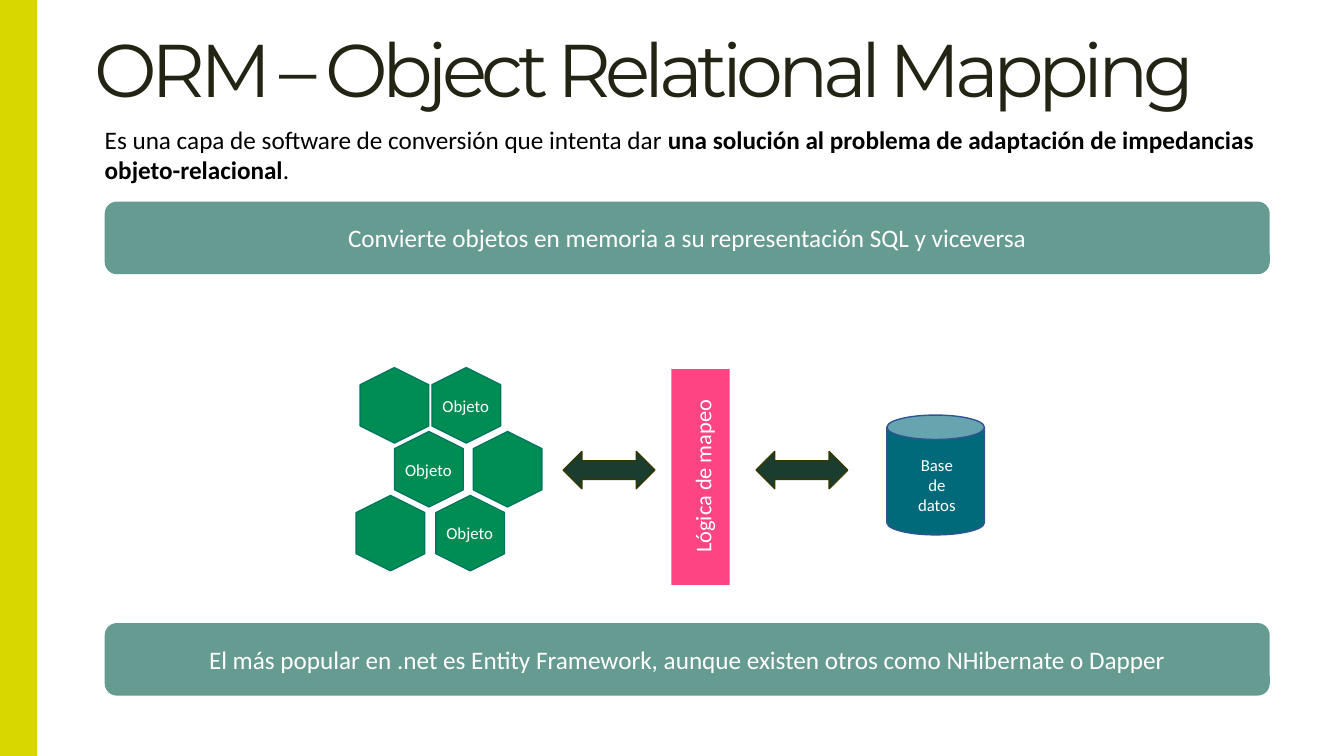
from pptx import Presentation
from pptx import util as u
from pptx.dml.color import RGBColor
from pptx.enum import shapes, text

WHITE = RGBColor(0xFF, 0xFF, 0xFF)
BLACK = RGBColor(0, 0, 0)
INK = RGBColor(0x24, 0x24, 0x15)
LIME = RGBColor(0xD8, 0xD8, 0x00)
SAGE = RGBColor(0x65, 0x9B, 0x91)
PINK = RGBColor(0xFF, 0x44, 0x84)
PETROL = RGBColor(0x00, 0x6A, 0x7B)
NAVY = RGBColor(0x32, 0x54, 0x91)
GREEN = RGBColor(0x00, 0x8D, 0x54)
TEAL = RGBColor(0x00, 0x76, 0x61)
FOREST = RGBColor(0x1B, 0x3D, 0x2F)
OLIVE = RGBColor(0x34, 0x38, 0x00)

SHAPE = shapes.MSO_SHAPE
LEFT, CENTER = text.PP_ALIGN.LEFT, text.PP_ALIGN.CENTER
TOP, MIDDLE, BOTTOM = (text.MSO_ANCHOR.TOP, text.MSO_ANCHOR.MIDDLE,
                       text.MSO_ANCHOR.BOTTOM)


def write(frame, *runs, size=18, color=WHITE, font="Calibri", align=CENTER,
          anchor=TOP, bold=(), spacing=None):
    """Write one paragraph; bold lists the indexes of the bold runs."""
    frame.word_wrap = True
    frame.vertical_anchor = anchor
    paragraph = frame.paragraphs[0]
    paragraph.alignment = align
    for index, words in enumerate(runs):
        run = paragraph.add_run()
        run.text = words
        run.font.name = font
        run.font.size = u.Pt(size)
        run.font.bold = index in bold
        run.font.color.rgb = color
        if spacing is not None:
            run.font._element.set("spc", str(spacing * 100))
    return paragraph


class OrmSlide:
    """Current slide and its drawing style; boxes are in centimetres."""

    def __init__(self, deck):
        self.slide = deck.slides.add_slide(deck.slide_layouts[5])

    def title(self, words, box):
        heading = self.slide.shapes.title
        heading.left, heading.top, heading.width, heading.height = map(u.Cm, box)
        frame = heading.text_frame
        frame.auto_size = text.MSO_AUTO_SIZE.NONE
        frame.margin_left = 0
        paragraph = write(frame, words, size=53.3, color=INK, font="Montserrat",
                          align=LEFT, anchor=BOTTOM, spacing=-4)
        paragraph.line_spacing = 0.9

    def figure(self, kind, box, fill, outline=None, rotation=0):
        figure = self.slide.shapes.add_shape(kind, *map(u.Cm, box))
        figure.shadow.inherit = False
        figure.rotation = rotation
        figure.fill.solid()
        figure.fill.fore_color.rgb = fill
        if outline is None:
            figure.line.fill.background()
        else:
            figure.line.color.rgb = outline
            figure.line.width = u.Pt(1)
        return figure

    def band(self, words, top):
        band = self.figure(SHAPE.ROUNDED_RECTANGLE, (2.64, top, 29.36, 1.83), SAGE)
        write(band.text_frame, words, anchor=MIDDLE)

    def label(self, *runs, box, rotation=0, **style):
        label = self.slide.shapes.add_textbox(*map(u.Cm, box))
        label.rotation = rotation
        write(label.text_frame, *runs, **style)


def main():
    deck = Presentation()
    deck.slide_width, deck.slide_height = u.Cm(33.87), u.Cm(19.05)
    orm = OrmSlide(deck)

    orm.title("ORM – Object Relational Mapping", (2.39, 0, 30.53, 3))
    orm.figure(SHAPE.RECTANGLE, (0, 0, 0.94, 19.05), LIME)
    orm.label("Es una capa de software de conversión que intenta dar ",
              "una solución al problema de adaptación de impedancias objeto-relacional",
              ".", box=(2.39, 3, 30.53, 1.8), color=BLACK, align=LEFT, bold=(1,))
    orm.band("Convierte objetos en memoria a su representación SQL y viceversa", 5.08)
    orm.band("El más popular en .net es Entity Framework, aunque existen otros "
             "como NHibernate o Dapper", 15.7)

    orm.figure(SHAPE.RECTANGLE, (16.92, 9.3, 1.47, 5.44), PINK)
    orm.label("Lógica de mapeo", box=(14.99, 11.53, 5.44, 0.94), rotation=270, size=16)
    orm.figure(SHAPE.CAN, (22.35, 10.46, 2.46, 3.02), PETROL, NAVY)
    orm.label("Base de datos", box=(22.76, 11.33, 1.7, 1.8), size=12)

    # Each row of the honeycomb: left edges of the plain and the labelled cell
    honeycomb = [(8.99, 10.8), (11.84, 9.86), (8.89, 10.9)]
    for row, (plain, labelled) in enumerate(honeycomb):
        top = 9.35 + 1.61 * row
        for left in (plain, labelled):
            orm.figure(SHAPE.HEXAGON, (left, top, 1.9, 1.73), GREEN, TEAL, 90)
        orm.label("Objeto", box=(labelled + 0.1, top + 0.49, 1.7, 0.76),
                  size=12, align=LEFT)

    for left in (14.88, 19.74):
        orm.figure(SHAPE.UP_DOWN_ARROW, (left, 10.69, 0.94, 2.31), FOREST, OLIVE, 270)

    deck.save("out.pptx")


if __name__ == "__main__":
    main()
